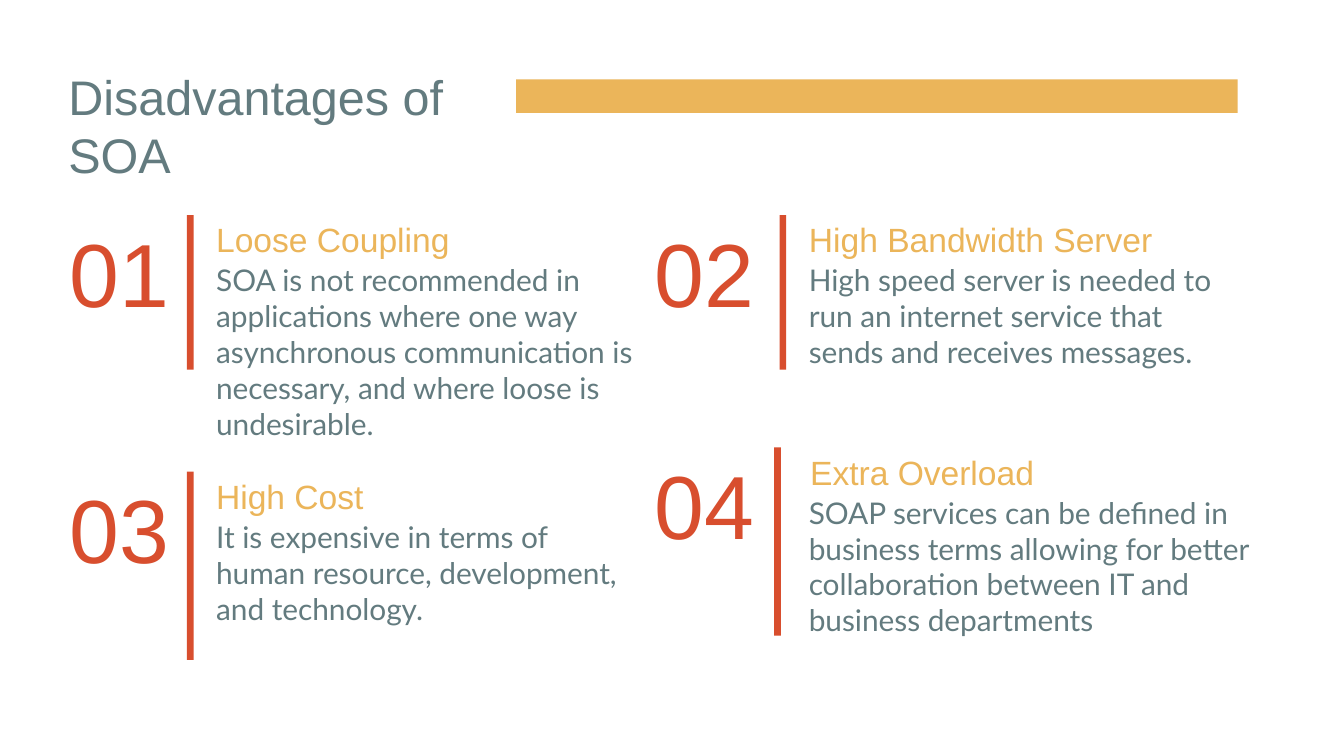
from dataclasses import dataclass

from pptx import Presentation
from pptx.dml.color import RGBColor
from pptx.enum.shapes import MSO_SHAPE
from pptx.enum.text import MSO_ANCHOR, PP_ALIGN
from pptx.util import Inches, Pt

SLATE, GOLD, RED = "637B7F", "EBB55A", "D84E2E"


@dataclass
class Drawback:
    """One numbered point; top is the upper end of its bar."""
    number: str
    heading: str
    body: str
    number_left: float
    bar_left: float
    heading_left: float
    heading_width: float
    body_left: float
    body_width: float
    top: float
    bar_height: float


DRAWBACKS = [
    Drawback("01", "Loose Coupling",
             "SOA is not recommended in applications where one way asynchronous "
             "communication is necessary, and where loose is undesirable.",
             0.35, 1.39, 1.51, 2.76, 1.51, 3.49, 1.6, 1.15),
    Drawback("03", "High Cost",
             "It is expensive in terms of human resource, development, and technology.",
             0.35, 1.39, 1.51, 2.76, 1.51, 3.19, 3.51, 1.4),
    Drawback("02", "High Bandwidth Server",
             "High speed server is needed to run an internet service that sends "
             "and receives messages.",
             4.7, 5.8, 5.92, 3.19, 5.92, 3.4, 1.6, 1.15),
    Drawback("04", "Extra Overload",
             "SOAP services can be defined in business terms allowing for better "
             "collaboration between IT and business departments",
             4.7, 5.76, 5.93, 4.07, 5.92, 3.83, 3.33, 1.4),
]


def rgb(color: str) -> RGBColor:
    """Turn a hex string into a colour."""
    return RGBColor.from_string(color)


def add_bar(s, left: float, top: float, width: float, height: float, color: str) -> None:
    """Draw a plain filled rectangle."""
    sp = s.shapes.add_shape(MSO_SHAPE.RECTANGLE, Inches(left), Inches(top),
                            Inches(width), Inches(height))
    sp.shadow.inherit = False
    sp.fill.solid()
    sp.fill.fore_color.rgb = rgb(color)
    sp.line.fill.background()


def add_text(s, text: str, left: float, top: float, width: float, height: float,
             size: float, color: str, font: str = "Arial",
             align=PP_ALIGN.LEFT, anchor=MSO_ANCHOR.TOP) -> None:
    """Add a wrapped text box with one paragraph."""
    tf = s.shapes.add_textbox(Inches(left), Inches(top),
                              Inches(width), Inches(height)).text_frame
    tf.word_wrap = True
    tf.vertical_anchor = anchor
    tf.margin_left = tf.margin_right = tf.margin_top = tf.margin_bottom = Inches(0.1)
    p = tf.paragraphs[0]
    p.text = text
    p.alignment = align
    f = p.runs[0].font
    f.size, f.name, f.color.rgb = Pt(size), font, rgb(color)


def add_drawback(s, d: Drawback) -> None:
    """Draw number, heading, body and bar of one point."""
    add_text(s, d.number, d.number_left, d.top, 1.01, 0.92, 48, RED,
             align=PP_ALIGN.RIGHT, anchor=MSO_ANCHOR.BOTTOM)
    add_text(s, d.heading, d.heading_left, d.top - 0.07, d.heading_width, 0.37, 18, GOLD)
    add_text(s, d.body, d.body_left, d.top + 0.25, d.body_width, 0.67, 16, SLATE, "Lato")
    add_bar(s, d.bar_left, d.top, 0.05, d.bar_height, RED)


prs = Presentation()
prs.slide_width = Inches(10)
prs.slide_height = prs.slide_width * 9 // 16
s = prs.slides.add_slide(prs.slide_layouts[6])

add_bar(s, 3.84, 0.59, 5.37, 0.25, GOLD)
add_text(s, "Disadvantages of SOA", 0.41, 0.4, 3.82, 0.63, 26, SLATE)
for drawback in DRAWBACKS:
    add_drawback(s, drawback)

prs.save("out.pptx")
